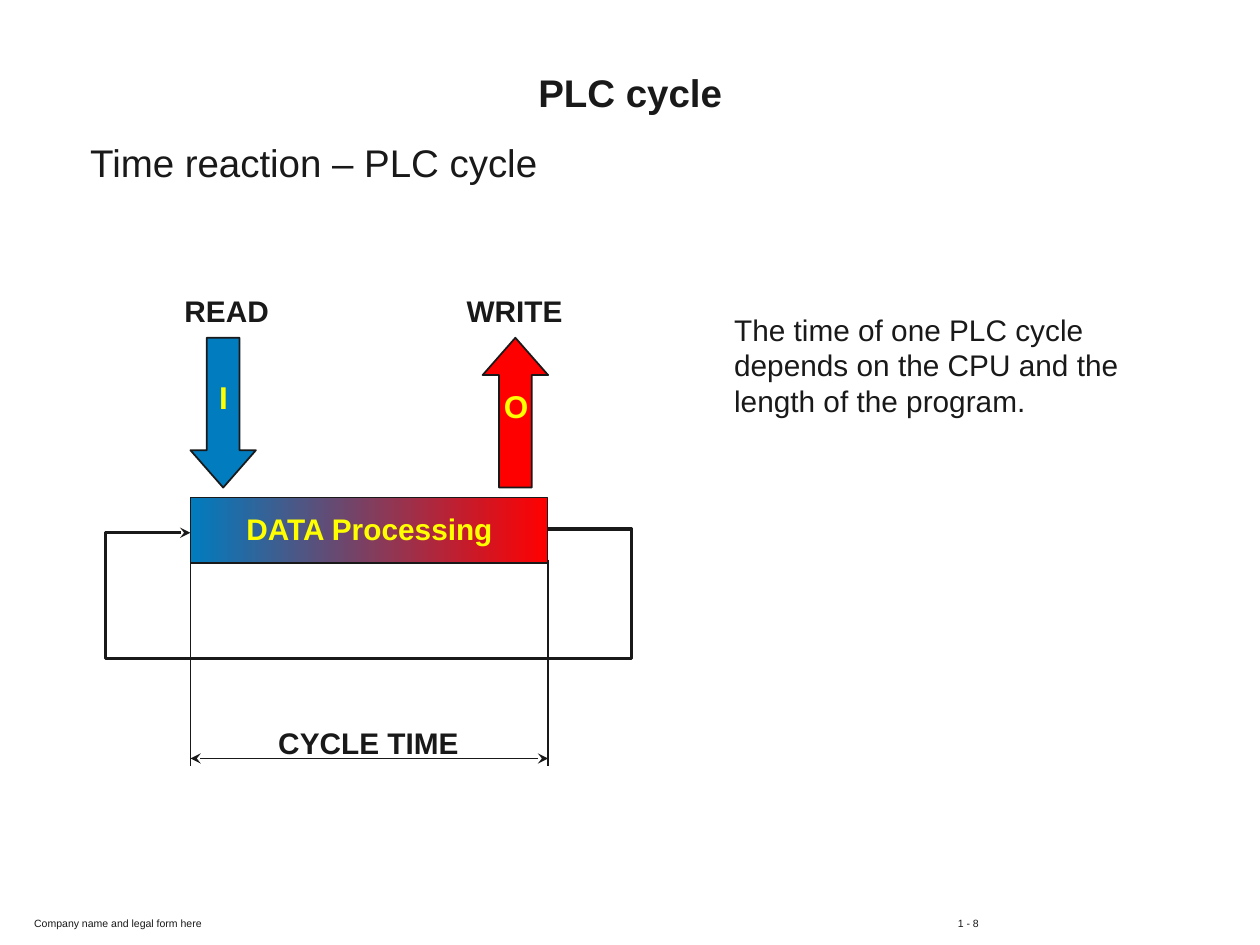
"""Build the slide on the read, process and write steps of a PLC cycle."""
from lxml.etree import SubElement
from pptx import Presentation
from pptx.dml.color import RGBColor
from pptx.enum.shapes import MSO_CONNECTOR, MSO_SHAPE
from pptx.enum.text import MSO_ANCHOR, PP_ALIGN
from pptx.oxml.ns import qn
from pptx.util import Cm, Pt

HUES = {"ink": "191919", "blue": "007CBF", "red": "FF0000", "gold": "FFFF00"}
LEFT, RIGHT = 3.84, 11.05
HEAD = {"size": Pt(22), "bold": True}
SUB = {"size": Pt(22), "bold": False}
MARK = {"size": Pt(18), "bold": True}
LABEL = {"size": Pt(17), "bold": True}
NOTE = {"size": Pt(17), "bold": False}
FOOT = {"size": Pt(6), "bold": False}


def hue(name):
    """Return the named colour."""
    return RGBColor.from_string(HUES[name])


def write(frame, text, look, ink="ink", align=PP_ALIGN.CENTER):
    """Put one formatted paragraph in a text frame."""
    para = frame.paragraphs[0]
    para.alignment = align
    run = para.add_run()
    run.text = text
    for key, value in {"name": "Arial", **look}.items():
        setattr(run.font, key, value)
    run.font.color.rgb = hue(ink)


def add_text(slide, box, text, look, ink="ink", align=PP_ALIGN.CENTER, pad=(0.25, 0.13)):
    """Add a wrapped text box."""
    frame = slide.shapes.add_textbox(*map(Cm, box)).text_frame
    side, edge = map(Cm, pad)
    form = {"word_wrap": True, "margin_left": side, "margin_right": side,
            "margin_top": edge, "margin_bottom": edge}
    for key, value in form.items():
        setattr(frame, key, value)
    write(frame, text, look, ink, align)


def add_title(slide, text):
    """Place and fill the title."""
    title = slide.shapes.title
    form = {"left": Cm(0.97), "top": Cm(1.22), "width": Cm(23.47), "height": Cm(1.27)}
    for key, value in form.items():
        setattr(title, key, value)
    title.text_frame.vertical_anchor = MSO_ANCHOR.MIDDLE
    write(title.text_frame, text, HEAD)


def set_line(shape, width, ends=()):
    """Style an outline and put stealth heads on the given ends."""
    shape.line.color.rgb = hue("ink")
    shape.line.width = Pt(width)
    for end in ends:
        SubElement(shape.element.spPr.find(qn("a:ln")), qn(f"a:{end}"), type="stealth")


def add_block(slide, kind, box, *tints):
    """Add a shape with a plain fill, or a gradient for two tints."""
    shape = slide.shapes.add_shape(kind, *map(Cm, box))
    shape.shadow.inherit = False
    if len(tints) == 1:
        shape.fill.solid()
        shape.fill.fore_color.rgb = hue(tints[0])
    else:
        shape.fill.gradient()
        shape.fill.gradient_angle = 0
        for stop, tint in zip(shape.fill.gradient_stops, tints):
            stop.color.rgb = hue(tint)
    set_line(shape, 1)
    return shape


def add_arrow(slide, kind, left, tint):
    """Add a block arrow above the process bar."""
    arrow = add_block(slide, kind, (left, 6.81, 1.32, 3.02), tint)
    arrow.adjustments[0] = 0.5
    arrow.adjustments[1] = 0.57


def add_loop(slide, start, *rest):
    """Add the open path that leads back to the start of the cycle."""
    path = slide.shapes.build_freeform(*map(Cm, start))
    path.add_line_segments([tuple(map(Cm, spot)) for spot in rest], close=False)
    shape = path.convert_to_shape()
    shape.shadow.inherit = False
    shape.fill.background()
    set_line(shape, 2, ["tailEnd"])


def add_rule(slide, start, end, ends=()):
    """Add a thin straight line."""
    rule = slide.shapes.add_connector(MSO_CONNECTOR.STRAIGHT, *map(Cm, start + end))
    set_line(rule, 1, ends)
    SubElement(rule.element.spPr, qn("a:effectLst"))


def main():
    """Build and save the slide."""
    deck = Presentation()
    deck.slide_width, deck.slide_height = Cm(25.4), Cm(19.05)
    slide = deck.slides.add_slide(deck.slide_layouts[5])

    add_title(slide, "PLC cycle")
    add_text(slide, (1.57, 2.67, 13.54, 1.19), "Time reaction – PLC cycle", SUB,
             align=PP_ALIGN.LEFT)

    add_arrow(slide, MSO_SHAPE.DOWN_ARROW, LEFT, "blue")
    add_arrow(slide, MSO_SHAPE.UP_ARROW, 9.73, "red")
    add_block(slide, MSO_SHAPE.RECTANGLE, (LEFT, 10.03, 7.2, 1.32), "blue", "red")
    add_loop(slide, (RIGHT, 10.67), (12.73, 10.67), (12.73, 13.28),
             (2.13, 13.28), (2.13, 10.74), (LEFT, 10.74))
    for side in (LEFT, RIGHT):
        add_rule(slide, (side, 11.28), (side, 15.45))
    add_rule(slide, (LEFT, 15.29), (RIGHT, 15.29), ["headEnd", "tailEnd"])

    labels = [
        ((4.01, 7.49, 0.99, 1.02), "I", MARK, "gold"),
        ((9.91, 7.67, 0.99, 1.02), "O", MARK, "gold"),
        ((2.79, 5.77, 3.56, 0.99), "READ", LABEL, "ink"),
        ((8.43, 5.77, 3.89, 0.99), "WRITE", LABEL, "ink"),
        ((3.68, 10.16, 7.54, 1.02), "DATA Processing", LABEL, "gold"),
        ((3.66, 14.48, 7.54, 0.99), "CYCLE TIME", LABEL, "ink"),
    ]
    for label in labels:
        add_text(slide, *label)
    add_text(slide, (14.55, 6.15, 9.63, 2.44),
             "The time of one PLC cycle depends on the CPU and the length of the program.",
             NOTE, align=PP_ALIGN.LEFT)

    feet = [(0.46, 6, "Company name and legal form here"), (19.08, 1.4, "1 - 8")]
    for left, width, text in feet:
        add_text(slide, (left, 18.39, width, 0.48), text, FOOT,
                 align=PP_ALIGN.LEFT, pad=(0.23, 0.1))

    deck.save("out.pptx")


if __name__ == "__main__":
    main()
